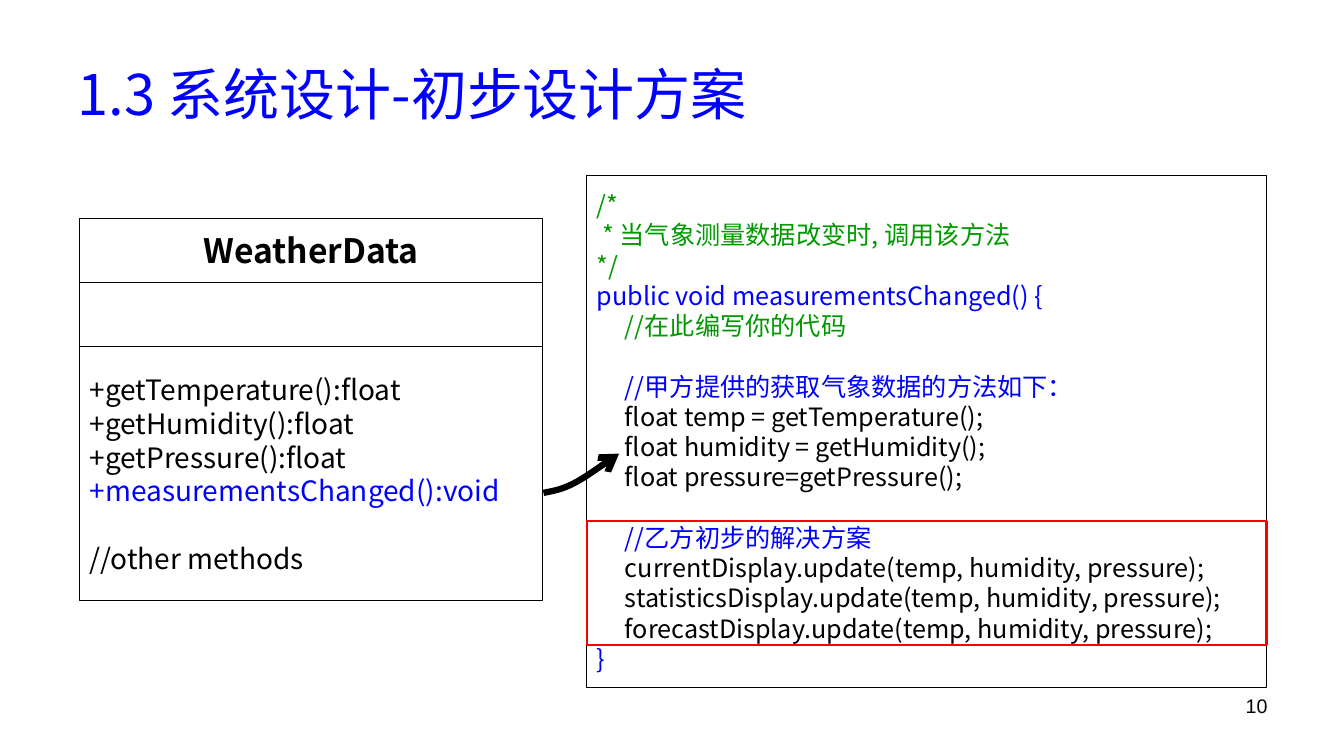
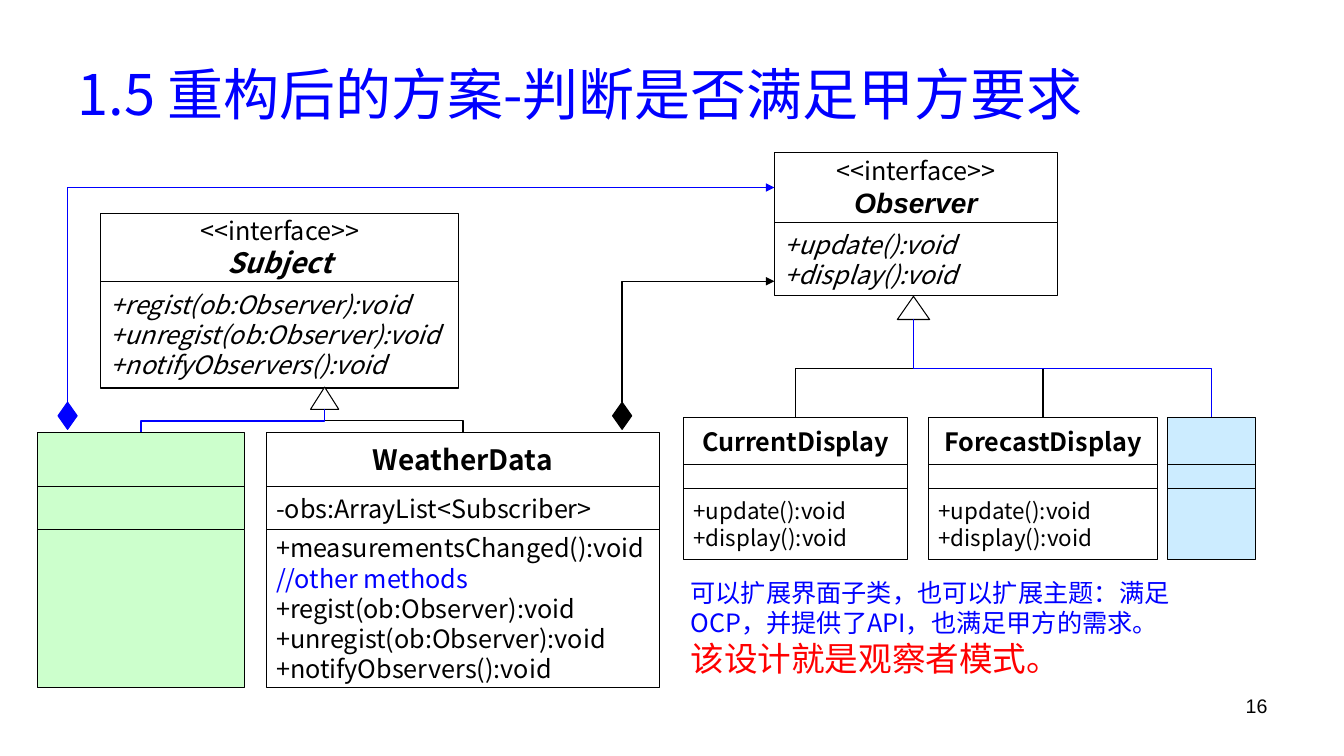
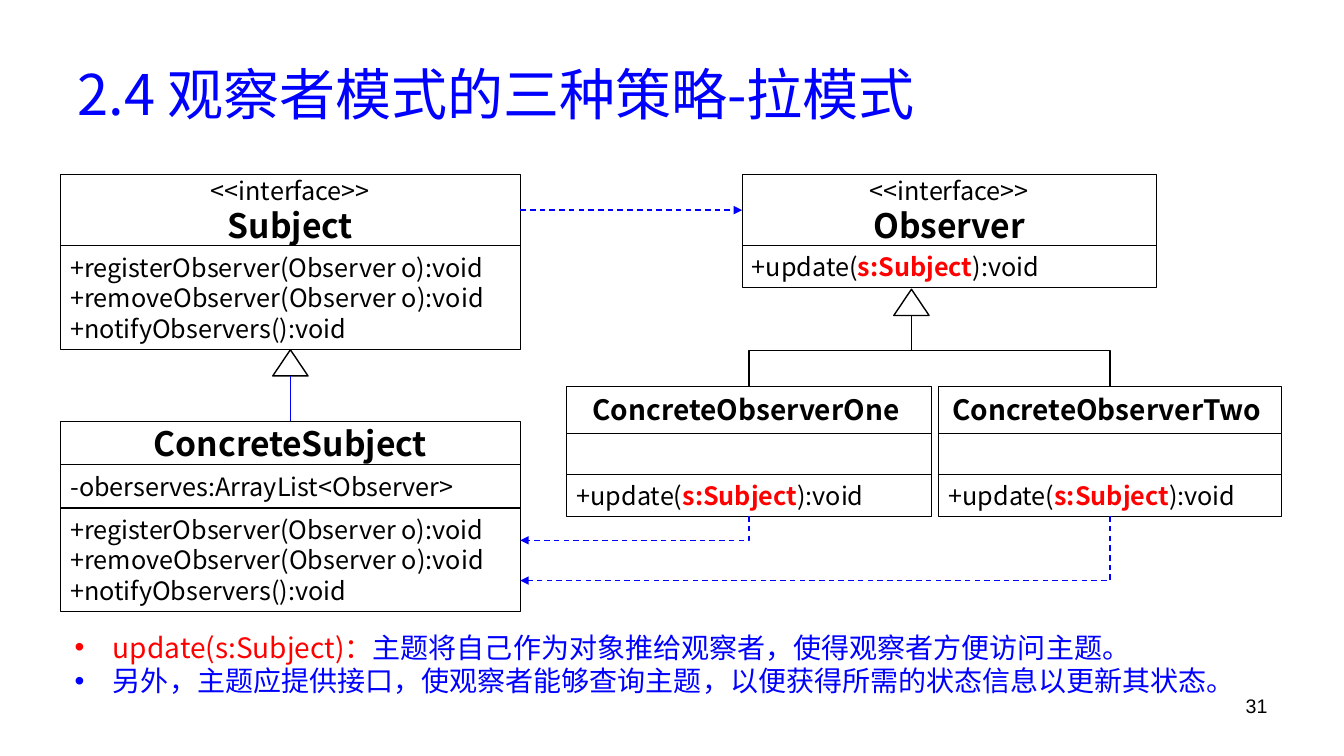
from lxml import etree
from pptx import Presentation
from pptx import util as u
from pptx.dml.color import RGBColor
from pptx.enum import dml, shapes, text
from pptx.oxml.ns import qn

SANS, ARIAL = "Noto Sans CJK SC", "Arial"
BLACK, WHITE, BLUE, RED, GREEN = "000000", "FFFFFF", "0000FF", "FF0000", "009900"
MINT, SKY = "CCFFCC", "CCECFF"
LINE_PITCH = 1.2
TITLE_ONLY, TITLE_AND_BODY = 5, 1
KIND = shapes.MSO_SHAPE
ALIGN = text.PP_ALIGN
# side: (share of width, share of height, connection site of a rectangle)
SIDES = {"top": (0.5, 0, 0), "left": (0, 0.5, 1), "bottom": (0.5, 1, 2), "right": (1, 0.5, 3)}


def rgb(value):
    return RGBColor.from_string(value)


def bezier(p0, p1, p2, p3, steps=10):
    """Points along a cubic curve, without its first point."""
    for i in range(1, steps + 1):
        t = i / steps
        k = ((1 - t) ** 3, 3 * t * (1 - t) ** 2, 3 * t * t * (1 - t), t ** 3)
        yield tuple(sum(a * p[axis] for a, p in zip(k, (p0, p1, p2, p3))) for axis in (0, 1))


class Deck:
    """The style of the deck and the slide being drawn."""

    def __init__(self):
        self.prs = Presentation()
        self.prs.slide_width, self.prs.slide_height = u.Inches(13.33), u.Inches(7.5)
        self.s = None

    def slide(self, title, number, layout=TITLE_ONLY):
        self.s = self.prs.slides.add_slide(self.prs.slide_layouts[layout])
        self.place(self.s.shapes.title, 0.67, 0.3, 12, 1.25)
        self.set_text(self.s.shapes.title, [title], size=40, color=BLUE)
        self.text_box(9.56, 6.83, 3.11, 0.52, [str(number)], align=ALIGN.RIGHT,
                      size=14, name=ARIAL)

    def place(self, sp, *box):
        for key, value in zip(("left", "top", "width", "height"), box):
            setattr(sp, key, u.Inches(value))

    def set_text(self, sp, lines, align=ALIGN.LEFT, anchor=text.MSO_ANCHOR.MIDDLE,
                 wrap=True, **base):
        """Fill in lines; each is a string, a (text, format) pair or a list of
        pairs, and None leaves a gap of one line."""
        tf = sp.text_frame
        tf.auto_size = text.MSO_AUTO_SIZE.NONE
        tf.word_wrap, tf.vertical_anchor = wrap, anchor
        base = {"size": 18, "name": SANS, "color": BLACK, "bold": False, "italic": False, **base}
        p, gap = None, 0
        for line in lines:
            if line is None:
                gap += base["size"] * LINE_PITCH
                continue
            runs = [(line, {})] if isinstance(line, str) else line
            runs = [runs] if isinstance(runs, tuple) else runs
            p = tf.paragraphs[0] if p is None else tf.add_paragraph()
            size = max(fmt.get("size", base["size"]) for _, fmt in runs)
            layout = {"alignment": align, "line_spacing": u.Pt(size * LINE_PITCH),
                      "space_before": u.Pt(gap), "space_after": u.Pt(0)}
            for key, value in layout.items():
                setattr(p, key, value)
            for words, fmt in runs:
                self.run(p, words, {**base, **fmt})
            gap = 0

    def run(self, p, words, fmt):
        r = p.add_run()
        r.text = words
        r.font.color.rgb = rgb(fmt["color"])
        r.font.size = u.Pt(fmt["size"])
        for key in ("name", "bold", "italic"):
            setattr(r.font, key, fmt[key])
        etree.SubElement(r.font._element, qn("a:ea")).set("typeface", fmt["name"])

    def text_box(self, x, y, w, h, lines, **fmt):
        sp = self.s.shapes.add_textbox(*map(u.Inches, (x, y, w, h)))
        self.set_text(sp, lines, anchor=text.MSO_ANCHOR.TOP, **fmt)

    def bullets(self, x, y, w, h, lines, **fmt):
        sp = self.s.placeholders[1]
        self.place(sp, x, y, w, h)
        self.set_text(sp, lines, anchor=text.MSO_ANCHOR.TOP, **fmt)
        for p in sp.text_frame.paragraphs:
            pPr = p._p.get_or_add_pPr()
            pPr.set("marL", str(u.Inches(0.38)))
            pPr.set("indent", str(-u.Inches(0.38)))
            etree.SubElement(pPr, qn("a:buChar")).set("char", "•")

    def shape(self, x, y, w, h, kind=KIND.RECTANGLE, fill=None, line=BLACK,
              width=0.75, parent=None):
        sp = (parent or self.s).shapes.add_shape(kind, *map(u.Inches, (x, y, w, h)))
        self.paint(sp, fill, line, width)
        return sp

    def paint(self, sp, fill, line, width):
        sp.shadow.inherit = False
        if fill:
            sp.fill.solid()
            sp.fill.fore_color.rgb = rgb(fill)
        else:
            sp.fill.background()
        sp.line.color.rgb = rgb(line)
        sp.line.width = u.Pt(width)

    def class_box(self, x, y, w, rows, fill=None):
        """Stack (height, lines, format) rows as one UML class, heading centred."""
        group = self.s.shapes.add_group_shape()
        cells = []
        for height, lines, fmt in rows:
            sp = self.shape(x, y, w, height, fill=fill, parent=group)
            align = ALIGN.LEFT if cells else ALIGN.CENTER
            if lines:
                self.set_text(sp, lines, align=align, wrap=False, **fmt)
            cells.append(sp)
            y += height
        return cells

    def triangle(self, center, y, w, h, width=0.75):
        return self.shape(center - w / 2, y, w, h, KIND.ISOSCELES_TRIANGLE, WHITE, width=width)

    def diamond(self, center, color):
        w = 0.19
        return self.shape(center - w / 2, 3.99, w, 0.27, KIND.FLOWCHART_DECISION, color, color)

    def arrowhead(self, line, kind):
        etree.SubElement(line._get_or_add_ln(), qn("a:tailEnd")).set("type", kind)

    def end_point(self, end):
        """Turn (shape, side) or an (x, y) pair of inches into a point in EMU."""
        sp, side = end
        if not isinstance(side, str):
            return u.Inches(sp), u.Inches(side)
        fx, fy, _ = SIDES[side]
        return int(sp.left + fx * sp.width), int(sp.top + fy * sp.height)

    def connect(self, begin, end, bends=0, color=BLACK, dash=False, arrow=False):
        """Join two ends; a line with 1 or 2 bends sets off vertically."""
        (x1, y1), (x2, y2) = self.end_point(begin), self.end_point(end)
        kind = shapes.MSO_CONNECTOR.ELBOW if bends else shapes.MSO_CONNECTOR.STRAIGHT
        c = self.s.shapes.add_connector(kind, x1, y1, x2, y2)
        for join, (sp, side) in ((c.begin_connect, begin), (c.end_connect, end)):
            if isinstance(side, str):
                is_triangle = sp.auto_shape_type == KIND.ISOSCELES_TRIANGLE
                join(sp, 3 if is_triangle else SIDES[side][2])
        if bends:
            self.bend(c, x1, y1, x2, y2, bends)
        else:
            c.begin_x, c.begin_y, c.end_x, c.end_y = x1, y1, x2, y2
        c.line.color.rgb = rgb(color)
        c.line.width = u.Pt(1)
        if dash:
            c.line.dash_style = dml.MSO_LINE.DASH
        if arrow:
            self.arrowhead(c.line, "triangle")
        etree.SubElement(c._element.spPr, qn("a:effectLst"))

    def bend(self, c, x1, y1, x2, y2, bends):
        """Turn an elbow by a quarter so that its first part is vertical."""
        w, h = abs(y2 - y1), abs(x2 - x1)
        c.left, c.top = (x1 + x2 - w) // 2, (y1 + y2 - h) // 2
        c.width, c.height = w, h
        spPr = c._element.spPr
        xfrm = spPr.find(qn("a:xfrm"))
        for key in ("flipH", "flipV"):
            xfrm.attrib.pop(key, None)
        up, left = y2 < y1, x2 < x1
        xfrm.set("rot", str((270 if up else 90) * 60000))
        if up == left:
            xfrm.set("flipV", "1")
        spPr.find(qn("a:prstGeom")).set("prst", f"bentConnector{bends + 1}")

    def curved_arrow(self, start, *curves, width=4.5):
        points = [start]
        for curve in curves:
            points += bezier(points[-1], *curve)
        emu = [(u.Inches(x), u.Inches(y)) for x, y in points]
        builder = self.s.shapes.build_freeform(*emu[0], scale=1.0)
        builder.add_line_segments(emu[1:], close=False)
        sp = builder.convert_to_shape()
        self.paint(sp, None, BLACK, width)
        self.arrowhead(sp.line, "arrow")


def preliminary_design(d):
    d.slide("1.3 系统设计-初步设计方案", 10)
    blue, green = {"color": BLUE}, {"color": GREEN}
    code = d.shape(5.82, 1.74, 6.74, 5.08)
    d.set_text(code, [
        ("/*", green),
        (" * 当气象测量数据改变时, 调用该方法", green),
        ("*/", green),
        ("public void measurementsChanged() {", blue),
        ("     //在此编写你的代码", green),
        None,
        ("     //甲方提供的获取气象数据的方法如下：", blue),
        "     float temp = getTemperature();",
        "     float humidity = getHumidity();",
        "     float pressure=getPressure();",
        None,
        ("     //乙方初步的解决方案", blue),
        "     currentDisplay.update(temp, humidity, pressure);",
        "     statisticsDisplay.update(temp, humidity, pressure);",
        "     forecastDisplay.update(temp, humidity, pressure);",
        ("}", blue),
    ], wrap=False)
    d.curved_arrow((5.39, 4.89), ((5.48, 4.87), (5.57, 4.86), (5.7, 4.79)),
                   ((5.82, 4.73), (6.06, 4.55), (6.14, 4.5)))
    d.class_box(0.79, 2.17, 4.59, [
        (0.63, ["WeatherData"], {"size": 24, "bold": True}),
        (0.64, [], {}),
        (2.52, ["+getTemperature():float", "+getHumidity():float", "+getPressure():float",
                ("+measurementsChanged():void", blue), None, "//other methods"], {"size": 20}),
    ])
    d.shape(5.82, 5.17, 6.74, 1.23, line=RED, width=1.75)


def refactored_design(d):
    d.slide("1.5 重构后的方案-判断是否满足甲方要求", 16)
    name = {"size": 20, "bold": True, "italic": True}
    italic = {"italic": True}
    d.class_box(1, 2.12, 3.55, [
        (0.67, ["<<interface>>", ("Subject", name)], {}),
        (1.06, ["+regist(ob:Observer):void", "+unregist(ob:Observer):void",
                "+notifyObservers():void"], italic),
    ])
    weather = d.class_box(2.64, 4.29, 3.9, [
        (0.54, ["WeatherData"], {"size": 20, "bold": True}),
        (0.42, ["-obs:ArrayList<Subscriber>"], {}),
        (1.57, ["+measurementsChanged():void", ("//other methods", {"color": BLUE}),
                "+regist(ob:Observer):void", "+unregist(ob:Observer):void",
                "+notifyObservers():void"], {}),
    ])
    new_subject = d.class_box(0.37, 4.29, 2.06, [(h, [], {}) for h in (0.54, 0.42, 1.57)], MINT)
    observer = d.class_box(7.68, 1.51, 2.81, [
        (0.7, ["<<interface>>", ("Observer", {**name, "name": ARIAL})], {}),
        (0.72, ["+update():void", "+display():void"], italic),
    ], WHITE)
    subject_tip = d.triangle(3.22, 3.84, 0.28, 0.22)
    observer_tip = d.triangle(9.06, 2.94, 0.32, 0.23)
    methods = ["+update():void", "+display():void"]
    displays = [
        d.class_box(x, 4.14, w, [
            (0.47, title, {"bold": True}), (0.24, [], {}), (0.7, body, {"size": 16}),
        ], fill)
        for x, w, title, body, fill in (
            (6.78, 2.22, ["CurrentDisplay"], methods, WHITE),
            (9.21, 2.27, ["ForecastDisplay"], methods, WHITE),
            (11.58, 0.87, [], [], SKY))
    ]
    for cells, tip, color in ((weather, subject_tip, BLACK), (new_subject, subject_tip, BLUE),
                              (displays[0], observer_tip, BLACK),
                              (displays[1], observer_tip, BLACK),
                              (displays[2], observer_tip, BLUE)):
        d.connect((cells[0], "top"), (tip, "bottom"), 2, color)
    d.connect((d.diamond(6.17, BLACK), "top"), (7.68, 2.79), 1, arrow=True)
    d.connect((d.diamond(0.67, BLUE), "top"), (observer[0], "left"), 1, BLUE, arrow=True)
    d.text_box(6.75, 5.68, 5.69, 1.11, [
        "可以扩展界面子类，也可以扩展主题：满足OCP，并提供了API，也满足甲方的需求。",
        ("该设计就是观察者模式。", {"size": 24, "color": RED}),
    ], color=BLUE)


def pull_mode(d):
    d.slide("2.4 观察者模式的三种策略-拉模式", 31, TITLE_AND_BODY)
    big = {"size": 24, "bold": True}
    methods = ["+registerObserver(Observer o):void", "+removeObserver(Observer o):void",
               "+notifyObservers():void"]
    update = [[("+update(", {}), ("s:Subject", {"color": RED, "bold": True}), ("):void", {})]]
    subject = d.class_box(0.6, 1.73, 4.56, [
        (0.71, ["<<interface>>", ("Subject", big)], {}), (1.03, methods, {})], WHITE)
    observer = d.class_box(7.36, 1.73, 4.11, [
        (0.71, ["<<interface>>", ("Observer", big)], {}), (0.41, update, {})], WHITE)
    concrete = d.class_box(0.6, 4.18, 4.56, [
        (0.43, ["ConcreteSubject"], big),
        (0.43, ["-oberserves:ArrayList<Observer>"], {}),
        (1.03, methods, {}),
    ], WHITE)
    observer_tip = d.triangle(9.04, 2.87, 0.35, 0.26, 1)
    subject_tip = d.triangle(2.88, 3.47, 0.35, 0.26, 1)
    for x, w, title, arrow_y in ((5.62, 3.62, "ConcreteObserverOne ", 5.36),
                                 (9.31, 3.4, "ConcreteObserverTwo ", 5.76)):
        cells = d.class_box(x, 3.83, w, [
            (0.47, [title], {"size": 20, "bold": True}), (0.41, [], {}), (0.41, update, {}),
        ], WHITE)
        d.connect((cells[0], "top"), (observer_tip, "bottom"), 2)
        d.connect((cells[-1], "bottom"), (5.16, arrow_y), 1, BLUE, dash=True, arrow=True)
    d.connect((subject_tip, "bottom"), (concrete[0], "top"), color=BLUE)
    d.connect((subject[0], "right"), (observer[0], "left"), color=BLUE, dash=True, arrow=True)
    d.bullets(0.64, 6.2, 12.01, 0.77, [
        [("update(s:Subject)：", {"color": RED}),
         ("主题将自己作为对象推给观察者，使得观察者方便访问主题。", {})],
        "另外，主题应提供接口，使观察者能够查询主题，以便获得所需的状态信息以更新其状态。",
    ], size=20, color=BLUE)


def main():
    deck = Deck()
    for build in (preliminary_design, refactored_design, pull_mode):
        build(deck)
    deck.prs.save("out.pptx")


if __name__ == "__main__":
    main()
